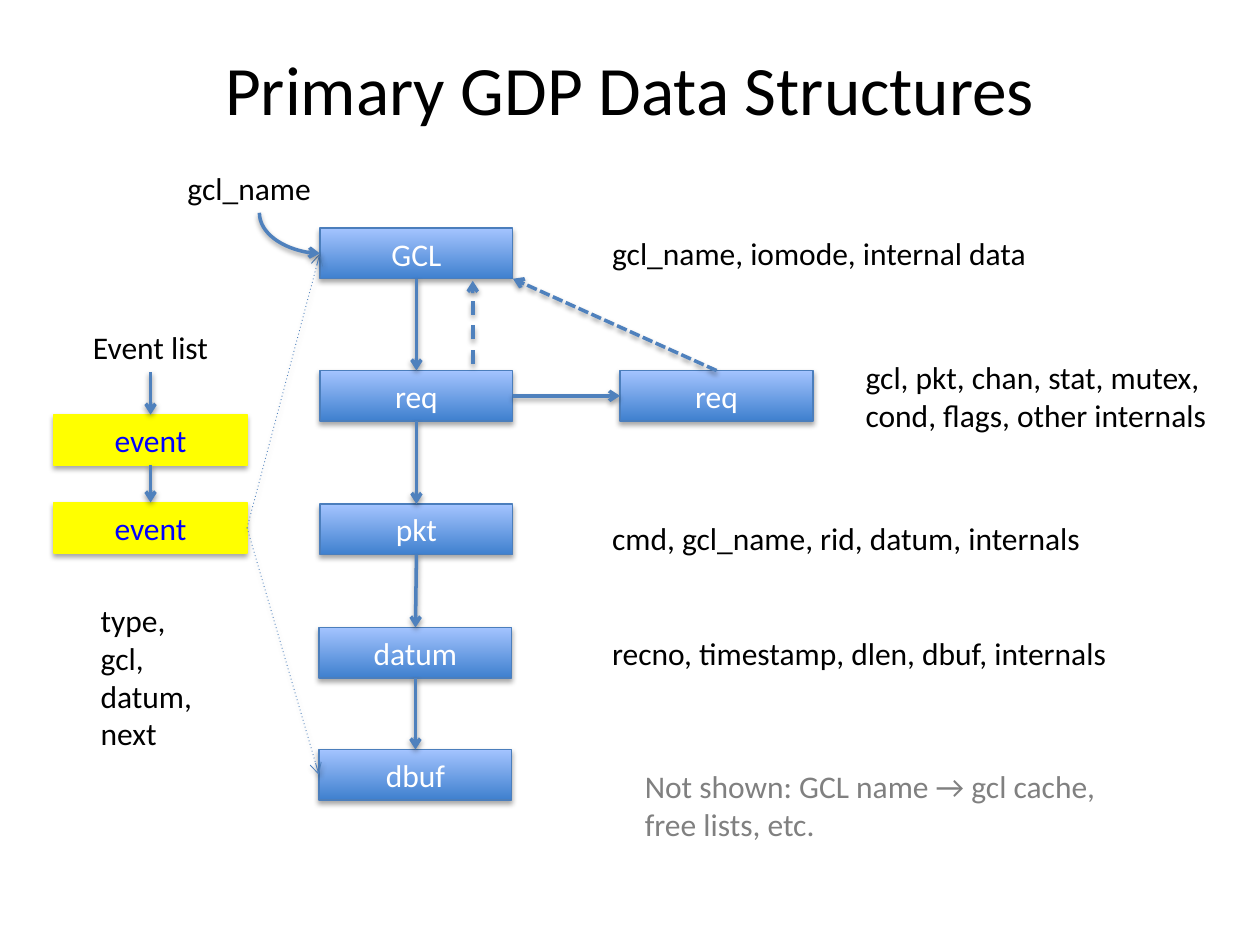
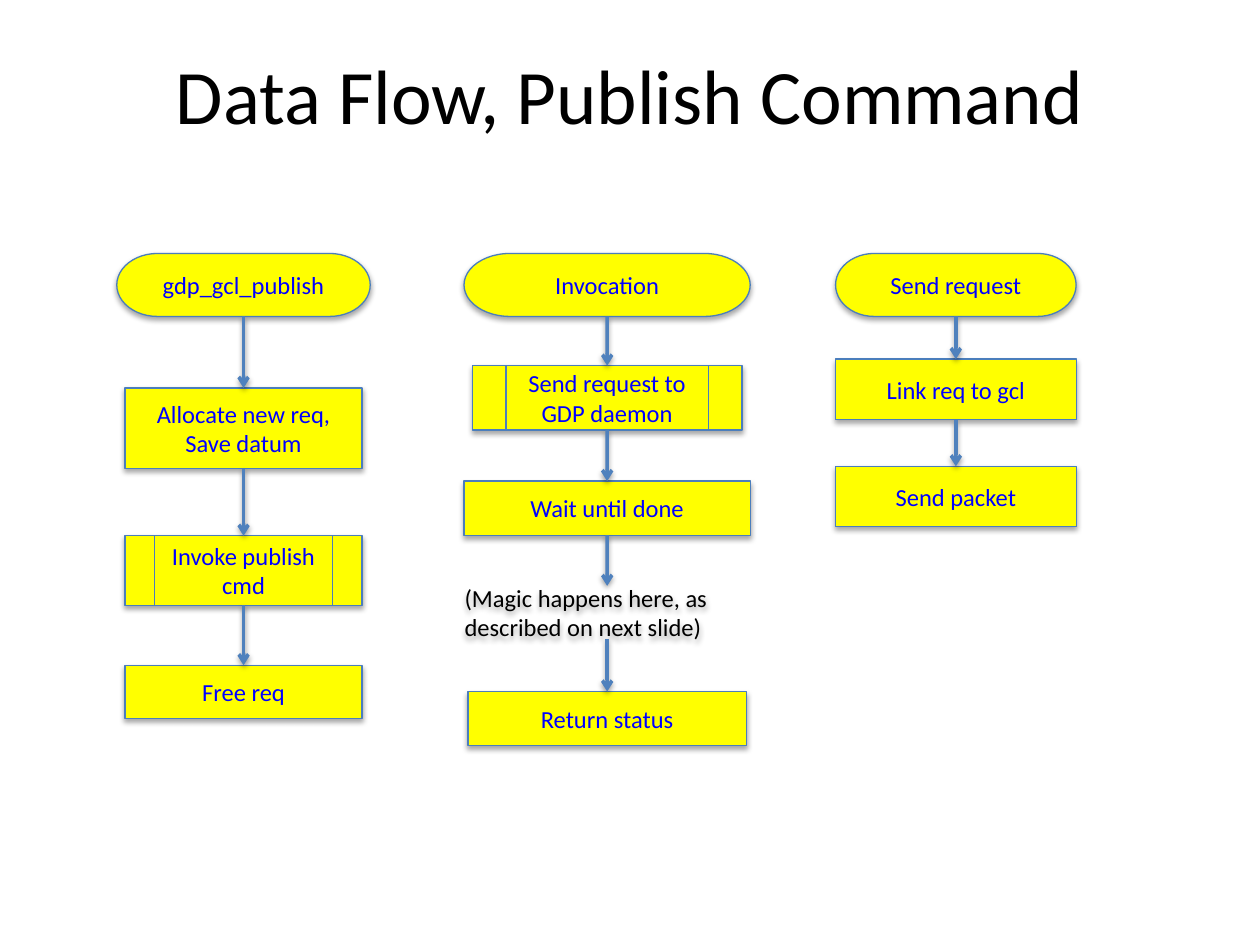
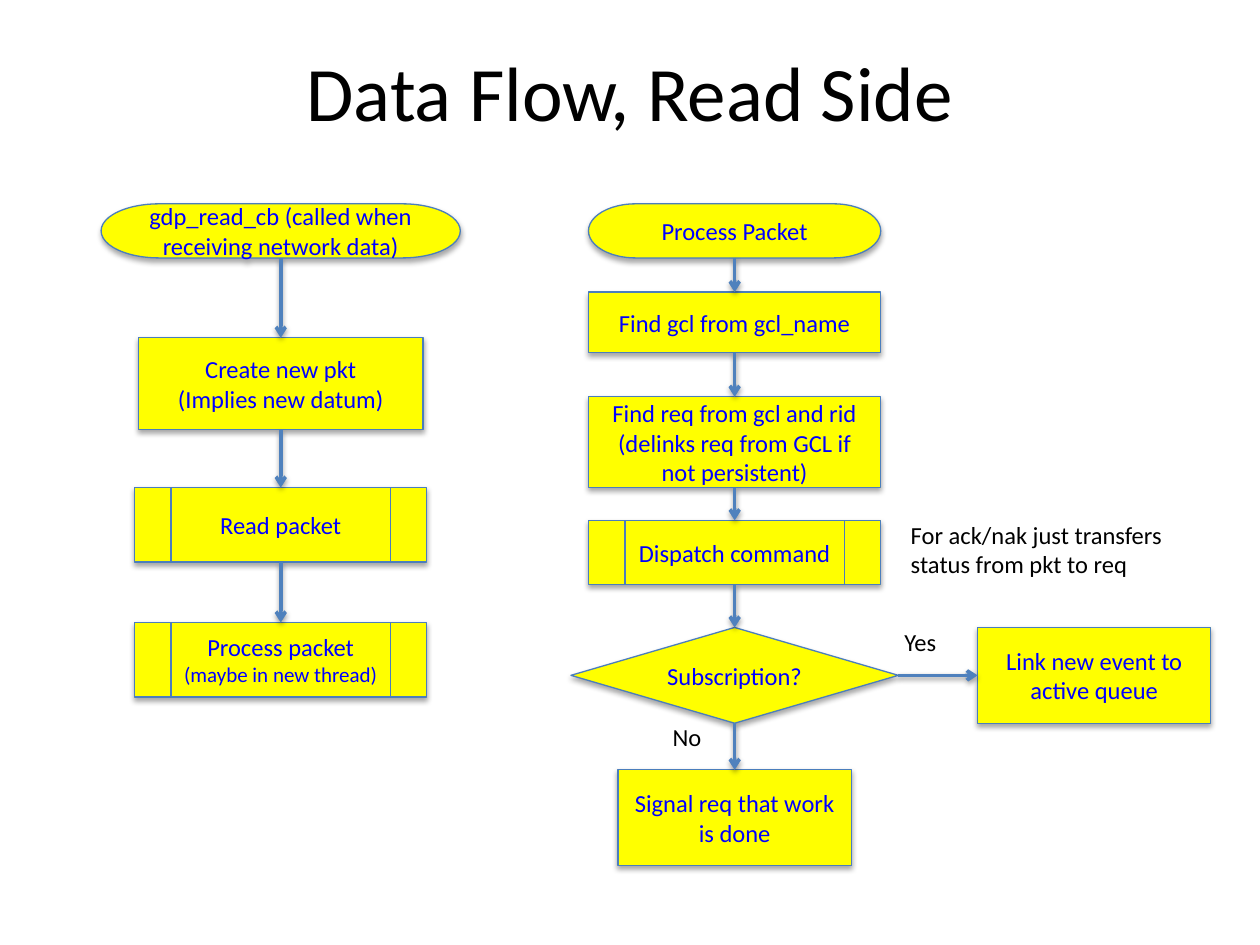
import pptx
import pptx.dml.color
import pptx.enum.shapes
import pptx.enum.text
import pptx.oxml.ns
import pptx.util
from dataclasses import dataclass
from lxml import etree

Cm = pptx.util.Cm
Pt = pptx.util.Pt
SHAPE = pptx.enum.shapes.MSO_SHAPE
CONNECTOR = pptx.enum.shapes.MSO_CONNECTOR
ALIGN = pptx.enum.text.PP_ALIGN
ANCHOR = pptx.enum.text.MSO_ANCHOR
TOP, LEFT, BOTTOM, RIGHT = range(4)


@dataclass(frozen=True)
class Theme:
    font: str = "Calibri"
    ink: str = "000000"
    muted: str = "808080"
    white: str = "FFFFFF"
    event_text: str = "0000FF"
    yellow: str = "FFFF00"
    blue_dark: str = "3F80CE"
    blue_light: str = "A4C4FF"
    outline: str = "4B7EBC"
    arrow: str = "4F81BD"
    title: float = 44
    title_tight: float = 39.6
    body: float = 18
    flow: float = 14
    small: float = 12
    outline_width: float = 0.75
    arrow_width: float = 2
    dotted_width: float = 0.5


THEME = Theme()

# All lengths below are centimetres.
SLIDE_SIZE = (25.4, 19.05)
TITLE_LEFT, TITLE_TOP, TITLE_WIDTH = 1.27, 0.76, 22.86
NODE_WIDTH, NODE_HEIGHT = 3.89, 1.02

TITLES = {
    "structures": ("Primary GDP Data Structures", 2.01, THEME.title_tight),
    "publish": ("Data Flow, Publish Command", 2.26, THEME.title),
    "read": ("Data Flow, Read Side", 2.13, THEME.title),
}

# name: (text, left, top)
STRUCTURES = {
    "gcl": ("GCL", 6.45, 4.6),
    "req": ("req", 6.45, 7.47),
    "next req": ("req", 12.5, 7.47),
    "pkt": ("pkt", 6.45, 10.16),
    "datum": ("datum", 6.43, 12.65),
    "dbuf": ("dbuf", 6.43, 15.11),
}
EVENTS = {
    "first event": ("event", 1.09, 8.36),
    "second event": ("event", 1.09, 10.13),
}
# (text, left, top, width, height, colour)
STRUCTURE_LABELS = [
    ("gcl_name", 3.53, 3.28, 3.4, 1.02, THEME.ink),
    ("gcl_name, iomode, internal data", 12.09, 4.6, 8.89, 1.02, THEME.ink),
    ("gcl, pkt, chan, stat, mutex, cond, flags, other internals",
     17.2, 7.09, 8.26, 1.8, THEME.ink),
    ("cmd, gcl_name, rid, datum, internals", 12.09, 10.34, 11.1, 1.02, THEME.ink),
    ("recno, timestamp, dlen, dbuf, internals", 12.09, 12.65, 12.19, 1.02, THEME.ink),
    ("type, gcl, datum,\nnext", 1.78, 11.99, 2.46, 3.33, THEME.ink),
    ("Not shown: GCL name → gcl cache, free lists, etc.",
     12.75, 15.34, 10.41, 1.8, THEME.muted),
]
# (from, side, to, side)
STRUCTURE_LINKS = [
    ("gcl", BOTTOM, "req", TOP),
    ("req", BOTTOM, "pkt", TOP),
    ("pkt", BOTTOM, "datum", TOP),
    ("datum", BOTTOM, "dbuf", TOP),
    ("req", RIGHT, "next req", LEFT),
    ("event list", BOTTOM, "first event", TOP),
    ("first event", BOTTOM, "second event", TOP),
]
EVENT_REFERENCES = ["gcl", "dbuf"]

# Each column: (centre, [(kind, text, top, width, height), ...]);
# "|" starts a smaller span.
PUBLISH_COLUMNS = [
    (4.91, [
        ("start", "gdp_gcl_publish", 5.11, 5.11, 1.27),
        ("step", "Allocate new req,\nSave datum", 7.82, 4.78, 1.63),
        ("call", "Invoke publish cmd", 10.8, 4.78, 1.4),
        ("step", "Free req", 13.41, 4.78, 1.07),
    ]),
    (12.24, [
        ("start", "Invocation", 5.11, 5.77, 1.27),
        ("call", "Send request to GDP daemon", 7.37, 5.44, 1.3),
        ("step", "Wait until done", 9.7, 5.77, 1.09),
        ("note", "(Magic happens here, as described on next slide)", 11.81, 6.25, 1.07),
        ("step", "Return status", 13.94, 5.61, 1.09),
    ]),
    (19.27, [
        ("start", "Send request", 5.11, 4.85, 1.27),
        ("step", "Link req to gcl", 7.24, 4.85, 1.22),
        ("step", "Send packet", 9.4, 4.85, 1.22),
    ]),
]
READ_COLUMNS = [
    (5.66, [
        ("start", "gdp_read_cb (called when receiving network data)", 4.11, 7.24, 1.09),
        ("step", "Create new pkt\n(Implies new datum)", 6.81, 5.74, 1.85),
        ("call", "Read packet", 9.83, 5.89, 1.5),
        ("call", "Process packet |(maybe in new thread)", 12.55, 5.89, 1.5),
    ]),
    (14.81, [
        ("start", "Process Packet", 4.11, 5.89, 1.09),
        ("step", "Find gcl from gcl_name", 5.89, 5.89, 1.22),
        ("step", "Find req from gcl and rid\n(delinks req from GCL if not persistent)",
         8, 5.89, 1.83),
        ("call", "Dispatch command", 10.49, 5.89, 1.3),
        ("choice", "Subscription?", 12.65, 6.6, 1.93),
        ("step", "Signal req that work is done", 15.52, 4.7, 1.93),
    ]),
]
QUEUE_STEP = (22.06, ("step", "Link new event to active queue", 12.65, 4.7, 1.93))
READ_LABELS = [
    ("No", 13.31, 14.43, 1.22, 0.86),
    ("Yes", 17.98, 12.52, 1.22, 0.86),
    ("For ack/nak just transfers status from pkt to req", 18.11, 10.36, 6.3, 1.45),
]
FLOW_SHAPES = {
    "start": SHAPE.FLOWCHART_TERMINATOR,
    "step": SHAPE.FLOWCHART_PROCESS,
    "call": SHAPE.FLOWCHART_PREDEFINED_PROCESS,
    "choice": SHAPE.FLOWCHART_DECISION,
}


def rgb(colour):
    return pptx.dml.color.RGBColor.from_string(colour)


def assign(target, formats):
    for name, value in formats.items():
        setattr(target, name, value)


def add_xml(parent, tag, **attributes):
    return etree.SubElement(parent, pptx.oxml.ns.qn(tag), attributes)


def cast_shadow(item, opacity, distance):
    properties = item.element.spPr
    effects = properties.find(pptx.oxml.ns.qn("a:effectLst"))
    if effects is None:
        effects = add_xml(properties, "a:effectLst")
    shadow = add_xml(effects, "a:outerShdw", blurRad=str(Pt(3.1)),
                     dist=str(Pt(distance)), dir="5400000", rotWithShape="0")
    colour = add_xml(shadow, "a:srgbClr", val=THEME.ink)
    add_xml(colour, "a:alpha", val=str(opacity * 1000))


def write(box, text, size, colour=THEME.ink, align=ALIGN.LEFT, anchor=ANCHOR.TOP):
    frame = box.text_frame
    assign(frame, {"word_wrap": True, "vertical_anchor": anchor})
    for index, line in enumerate(text.split("\n")):
        para = frame.paragraphs[0] if index == 0 else frame.add_paragraph()
        para.alignment = align
        for part, span_size in zip(line.split("|"), (size, THEME.small)):
            span = para.add_run()
            span.text = part
            assign(span.font, {"name": THEME.font, "size": Pt(span_size)})
            span.font.color.rgb = rgb(colour)


def add_label(page, text, left, top, width, height, size, **formats):
    box = page.shapes.add_textbox(Cm(left), Cm(top), Cm(width), Cm(height))
    write(box, text, size, **formats)
    return box


def add_box(page, kind, text, place, size, colour, outline, fill=None):
    """Add a shadowed shape; without a fill colour it gets the blue gradient."""
    box = page.shapes.add_shape(kind, *map(Cm, place))
    box.shadow.inherit = False
    if fill:
        box.fill.solid()
        box.fill.fore_color.rgb = rgb(fill)
    else:
        box.fill.gradient()
        box.fill.gradient_angle = 90
        for stop, shade in zip(box.fill.gradient_stops, (THEME.blue_dark, THEME.blue_light)):
            stop.color.rgb = rgb(shade)
    box.line.color.rgb = rgb(outline)
    box.line.width = Pt(THEME.outline_width)
    cast_shadow(box, 35, 1.8)
    write(box, text, size, colour, ALIGN.CENTER, ANCHOR.MIDDLE)
    return box


def add_arrow(page, start, end, dash="solid", width=THEME.arrow_width,
              kind=CONNECTOR.STRAIGHT):
    """Each end is a (box, side) pair or an (x, y) point in EMU."""
    ends = (start, end)
    points = [(0, 0) if hasattr(place[0], "shape_id") else place for place in ends]
    arrow = page.shapes.add_connector(kind, *points[0], *points[1])
    for place, connect in zip(ends, (arrow.begin_connect, arrow.end_connect)):
        if hasattr(place[0], "shape_id"):
            connect(*place)
    arrow.line.color.rgb = rgb(THEME.arrow)
    arrow.line.width = Pt(width)
    stroke = arrow.element.spPr.find(pptx.oxml.ns.qn("a:ln"))
    add_xml(stroke, "a:prstDash", val=dash)
    add_xml(stroke, "a:tailEnd", type="arrow")
    cast_shadow(arrow, 38, 1.6)
    return arrow


def add_curved_arrow(page, start, end):
    """Leave start downwards and reach end rightwards: a flipped quarter turn."""
    (x1, y1), (x2, y2) = start, end
    middle_x, middle_y = (x1 + x2) // 2, (y1 + y2) // 2
    half_width, half_height = (y2 - y1) // 2, (x2 - x1) // 2
    arrow = add_arrow(page, (middle_x + half_width, middle_y - half_height),
                      (middle_x - half_width, middle_y + half_height),
                      kind=CONNECTOR.CURVE)
    properties = arrow.element.spPr
    properties.find(pptx.oxml.ns.qn("a:xfrm")).set("rot", "16200000")
    properties.find(pptx.oxml.ns.qn("a:prstGeom")).set("prst", "curvedConnector2")


def add_page(deck, name):
    page = deck.slides.add_slide(deck.slide_layouts[6])
    text, height, size = TITLES[name]
    add_label(page, text, TITLE_LEFT, TITLE_TOP, TITLE_WIDTH, height, size,
              align=ALIGN.CENTER, anchor=ANCHOR.MIDDLE)
    return page


def add_step(page, centre, step):
    kind, text, top, width, height = step
    place = (centre - width / 2, top, width, height)
    if kind == "note":
        box = add_label(page, text, *place, THEME.flow, anchor=ANCHOR.MIDDLE)
        cast_shadow(box, 35, 1.8)
        return box
    return add_box(page, FLOW_SHAPES[kind], text, place, THEME.flow,
                   THEME.event_text, THEME.outline, THEME.yellow)


def add_columns(page, columns):
    """Stack and join the steps of every column; return the boxes by text."""
    boxes = {}
    for centre, steps in columns:
        column = [add_step(page, centre, step) for step in steps]
        for upper, lower in zip(column, column[1:]):
            add_arrow(page, (upper, BOTTOM), (lower, TOP))
        boxes.update((step[1], box) for step, box in zip(steps, column))
    return boxes


def build_structures(deck):
    page = add_page(deck, "structures")
    boxes = {}
    styles = [
        (STRUCTURES, {"colour": THEME.white, "outline": THEME.outline}),
        (EVENTS, {"colour": THEME.event_text, "outline": THEME.yellow,
                  "fill": THEME.yellow}),
    ]
    for nodes, style in styles:
        for name, (text, left, top) in nodes.items():
            boxes[name] = add_box(page, SHAPE.RECTANGLE, text,
                                  (left, top, NODE_WIDTH, NODE_HEIGHT),
                                  THEME.body, **style)
    boxes["event list"] = add_label(page, "Event list", 1.09, 6.48, NODE_WIDTH,
                                    NODE_HEIGHT, THEME.body, align=ALIGN.CENTER)
    for *place, colour in STRUCTURE_LABELS:
        add_label(page, *place, THEME.body, colour=colour)
    for source, source_side, target, target_side in STRUCTURE_LINKS:
        add_arrow(page, (boxes[source], source_side), (boxes[target], target_side))
    for target in EVENT_REFERENCES:
        add_arrow(page, (boxes["second event"], RIGHT), (boxes[target], LEFT),
                  "dot", THEME.dotted_width)
    gcl = boxes["gcl"]
    add_arrow(page, (Cm(9.53), Cm(7.34)), (Cm(9.53), Cm(5.66)), "dash")
    add_arrow(page, (boxes["next req"], TOP),
              (gcl.left + gcl.width, gcl.top + gcl.height), "sysDash")
    add_curved_arrow(page, (Cm(5.23), Cm(4.29)), (gcl.left, gcl.top + gcl.height // 2))


def build_publish(deck):
    add_columns(add_page(deck, "publish"), PUBLISH_COLUMNS)


def build_read(deck):
    page = add_page(deck, "read")
    boxes = add_columns(page, READ_COLUMNS)
    queue = add_step(page, *QUEUE_STEP)
    add_arrow(page, (boxes["Subscription?"], RIGHT), (queue, LEFT))
    for label in READ_LABELS:
        add_label(page, *label, THEME.flow)


def main():
    deck = pptx.Presentation()
    deck.slide_width, deck.slide_height = map(Cm, SLIDE_SIZE)
    for build in (build_structures, build_publish, build_read):
        build(deck)
    deck.save("out.pptx")


if __name__ == "__main__":
    main()
